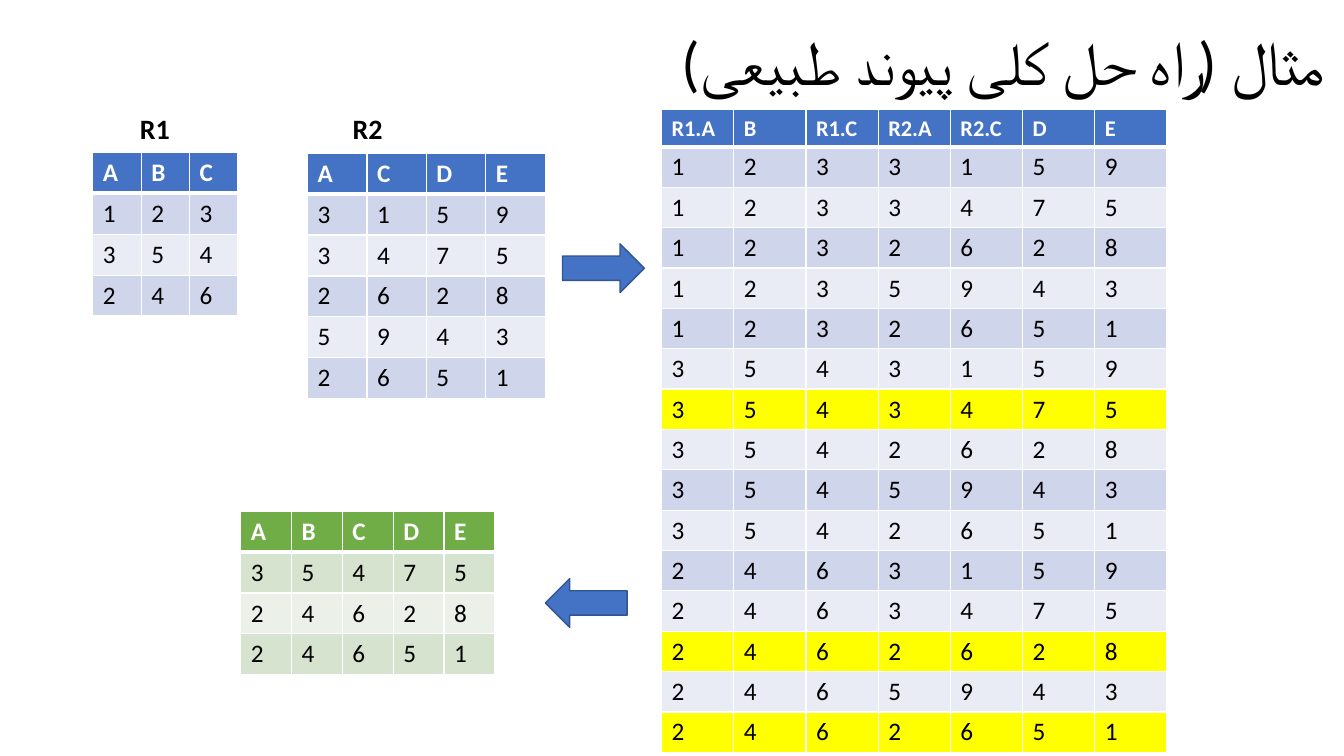
from dataclasses import dataclass
from itertools import product

from lxml.etree import SubElement
from pptx import Presentation
from pptx.dml.color import RGBColor
from pptx.enum.shapes import MSO_SHAPE
from pptx.enum.text import MSO_ANCHOR, PP_ALIGN
from pptx.oxml.ns import qn
from pptx.slide import Slide
from pptx.table import _Cell
from pptx.text.text import TextFrame
from pptx.util import Pt


@dataclass(frozen=True)
class Palette:
    header: str
    odd_row: str
    even_row: str


@dataclass(frozen=True)
class Theme:
    font: str = "Calibri"
    title_size: float = 44
    label_size: float = 20
    cell_size: float = 18
    small_header_size: float = 16
    black: str = "000000"
    white: str = "FFFFFF"
    highlight: str = "FFFF00"
    arrow_fill: str = "4472C4"
    arrow_line: str = "325491"
    blue: Palette = Palette("4472C4", "CFD5EA", "E9EBF5")
    green: Palette = Palette("70AD47", "D5E3CF", "EBF1E9")
    thin: float = 1
    thick: float = 3


THEME = Theme()
Row = tuple[int, ...]


@dataclass(frozen=True)
class Relation:
    left: float
    top: float
    column_width: float
    header: tuple[str, ...]
    rows: list[Row]
    row_height: float = 29.2
    header_size: float = THEME.cell_size
    palette: Palette = THEME.blue
    highlighted: frozenset[int] = frozenset()


@dataclass(frozen=True)
class Label:
    text: str
    left: float
    top: float = 76.3
    width: float = 36
    height: float = 31.5


@dataclass(frozen=True)
class Arrow:
    left: float
    top: float
    rotation: float = 0
    width: float = 58.5
    height: float = 34.8


R1_ROWS: list[Row] = [(1, 2, 3), (3, 5, 4), (2, 4, 6)]
R2_ROWS: list[Row] = [(3, 1, 5, 9), (3, 4, 7, 5), (2, 6, 2, 8), (5, 9, 4, 3), (2, 6, 5, 1)]
PAIRS = list(product(R1_ROWS, R2_ROWS))
# Rows join when the shared attributes A and C agree.
MATCHES = [index for index, (r1, r2) in enumerate(PAIRS) if (r1[0], r1[2]) == r2[:2]]

RELATIONS = [
    Relation(66.3, 108.9, 34.6, ("A", "B", "C"), R1_ROWS),
    Relation(219.6, 109.5, 42.5, ("A", "C", "D", "E"), R2_ROWS),
    Relation(
        172, 365.2, 36.3, ("A", "B", "C", "D", "E"),
        [PAIRS[index][0] + PAIRS[index][1][2:] for index in MATCHES],
        palette=THEME.green,
    ),
    Relation(
        472.5, 78.5, 51.6, ("R1.A", "B", "R1.C", "R2.A", "R2.C", "D", "E"),
        [r1 + r2 for r1, r2 in PAIRS],
        row_height=25.2,
        header_size=THEME.small_header_size,
        highlighted=frozenset(MATCHES),
    ),
]
LABELS = [Label("R1", 92.9), Label("R2", 244.8)]
ARROWS = [Arrow(401.8, 174.2), Arrow(389.5, 413.3, rotation=180)]


def write_text(
    frame: TextFrame,
    text: str,
    *,
    size: float,
    color: str = THEME.black,
    bold: bool = False,
    right_to_left: bool = False,
) -> None:
    paragraph = frame.paragraphs[0]
    run = paragraph.add_run()
    run.text = text
    run.font.name = THEME.font
    run.font.size = Pt(size)
    run.font.bold = bold
    run.font.color.rgb = RGBColor.from_string(color)
    if right_to_left:
        paragraph.alignment = PP_ALIGN.RIGHT
        paragraph.line_spacing = 0.9
        paragraph._p.get_or_add_pPr().set("rtl", "1")
        SubElement(run._r.get_or_add_rPr(), qn("a:cs"), typeface=THEME.font)


def add_title(slide: Slide, text: str) -> None:
    frame = slide.shapes.add_textbox(Pt(126), Pt(5.8), Pt(828), Pt(81.4)).text_frame
    frame.word_wrap = True
    frame.vertical_anchor = MSO_ANCHOR.MIDDLE
    write_text(frame, text, size=THEME.title_size, right_to_left=True)


def add_label(slide: Slide, label: Label) -> None:
    box = slide.shapes.add_textbox(
        Pt(label.left), Pt(label.top), Pt(label.width), Pt(label.height)
    )
    box.text_frame.word_wrap = False
    write_text(box.text_frame, label.text, size=THEME.label_size, bold=True)


def add_arrow(slide: Slide, arrow: Arrow) -> None:
    shape = slide.shapes.add_shape(
        MSO_SHAPE.RIGHT_ARROW,
        Pt(arrow.left), Pt(arrow.top), Pt(arrow.width), Pt(arrow.height),
    )
    shape.rotation = arrow.rotation
    shape.shadow.inherit = False
    shape.fill.solid()
    shape.fill.fore_color.rgb = RGBColor.from_string(THEME.arrow_fill)
    shape.line.color.rgb = RGBColor.from_string(THEME.arrow_line)
    shape.line.width = Pt(THEME.thin)


def style_cell(cell: _Cell, fill: str, top: float, bottom: float) -> None:
    """Set the borders before the fill, as the schema orders them."""
    properties = cell._tc.get_or_add_tcPr()
    widths = {"lnL": THEME.thin, "lnR": THEME.thin, "lnT": top, "lnB": bottom}
    for side, width in widths.items():
        border = SubElement(properties, qn(f"a:{side}"), w=str(Pt(width)))
        SubElement(SubElement(border, qn("a:solidFill")), qn("a:srgbClr"), val=THEME.white)
    cell.fill.solid()
    cell.fill.fore_color.rgb = RGBColor.from_string(fill)


def row_fill(relation: Relation, row_index: int) -> str:
    if row_index == 0:
        return relation.palette.header
    if row_index - 1 in relation.highlighted:
        return THEME.highlight
    return relation.palette.odd_row if row_index % 2 else relation.palette.even_row


def add_relation(slide: Slide, relation: Relation) -> None:
    lines = [relation.header, *relation.rows]
    table = slide.shapes.add_table(
        len(lines), len(relation.header),
        Pt(relation.left), Pt(relation.top),
        Pt(relation.column_width * len(relation.header)),
        Pt(relation.row_height * len(lines)),
    ).table
    table.horz_banding = False
    for column in table.columns:
        column.width = Pt(relation.column_width)
    for row_index, line in enumerate(lines):
        table.rows[row_index].height = Pt(relation.row_height)
        is_header = row_index == 0
        for column_index, value in enumerate(line):
            cell = table.cell(row_index, column_index)
            style_cell(
                cell,
                row_fill(relation, row_index),
                top=THEME.thick if row_index == 1 else THEME.thin,
                bottom=THEME.thick if is_header else THEME.thin,
            )
            write_text(
                cell.text_frame,
                str(value),
                size=relation.header_size if is_header else THEME.cell_size,
                color=THEME.white if is_header else THEME.black,
                bold=is_header,
            )


def main() -> None:
    presentation = Presentation()
    presentation.slide_width, presentation.slide_height = Pt(960), Pt(540)
    slide = presentation.slides.add_slide(presentation.slide_layouts[6])
    add_title(slide, "مثال (راه حل کلی پیوند طبیعی)")
    for relation in RELATIONS:
        add_relation(slide, relation)
    for label in LABELS:
        add_label(slide, label)
    for arrow in ARROWS:
        add_arrow(slide, arrow)
    presentation.save("out.pptx")


if __name__ == "__main__":
    main()
